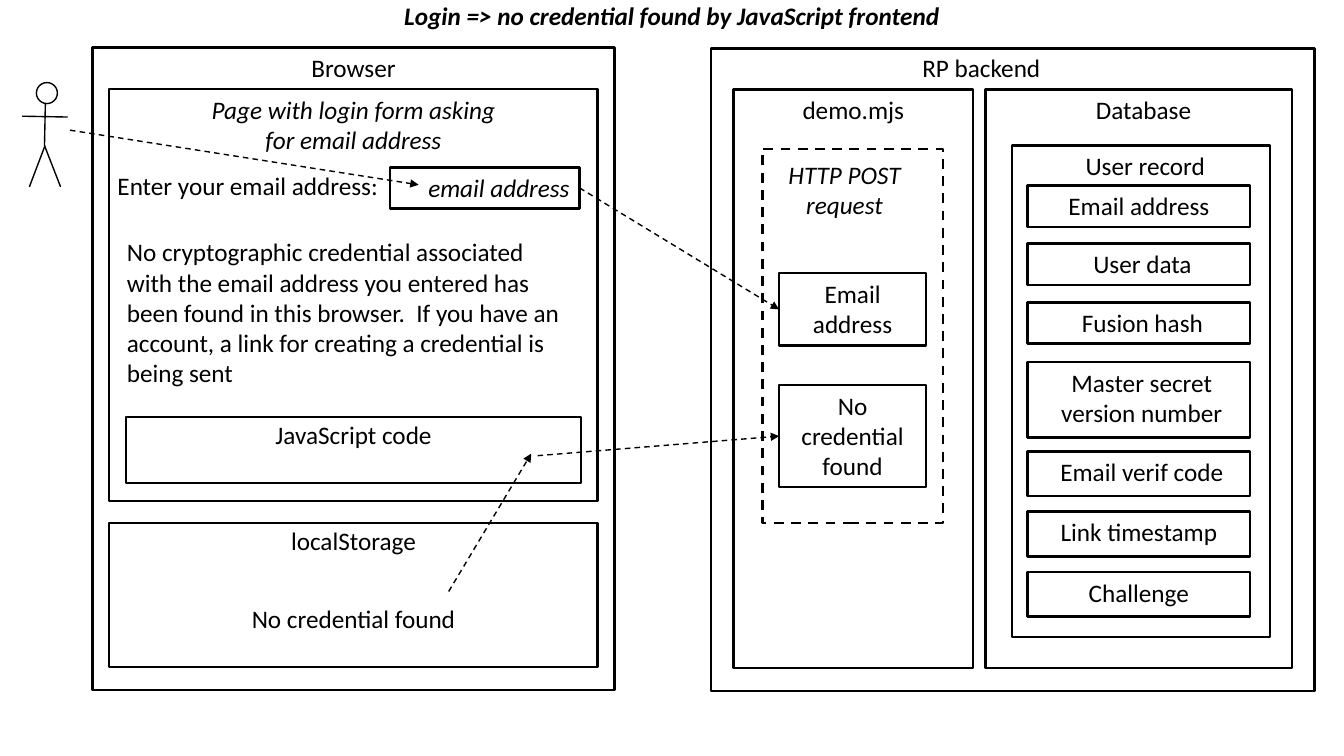
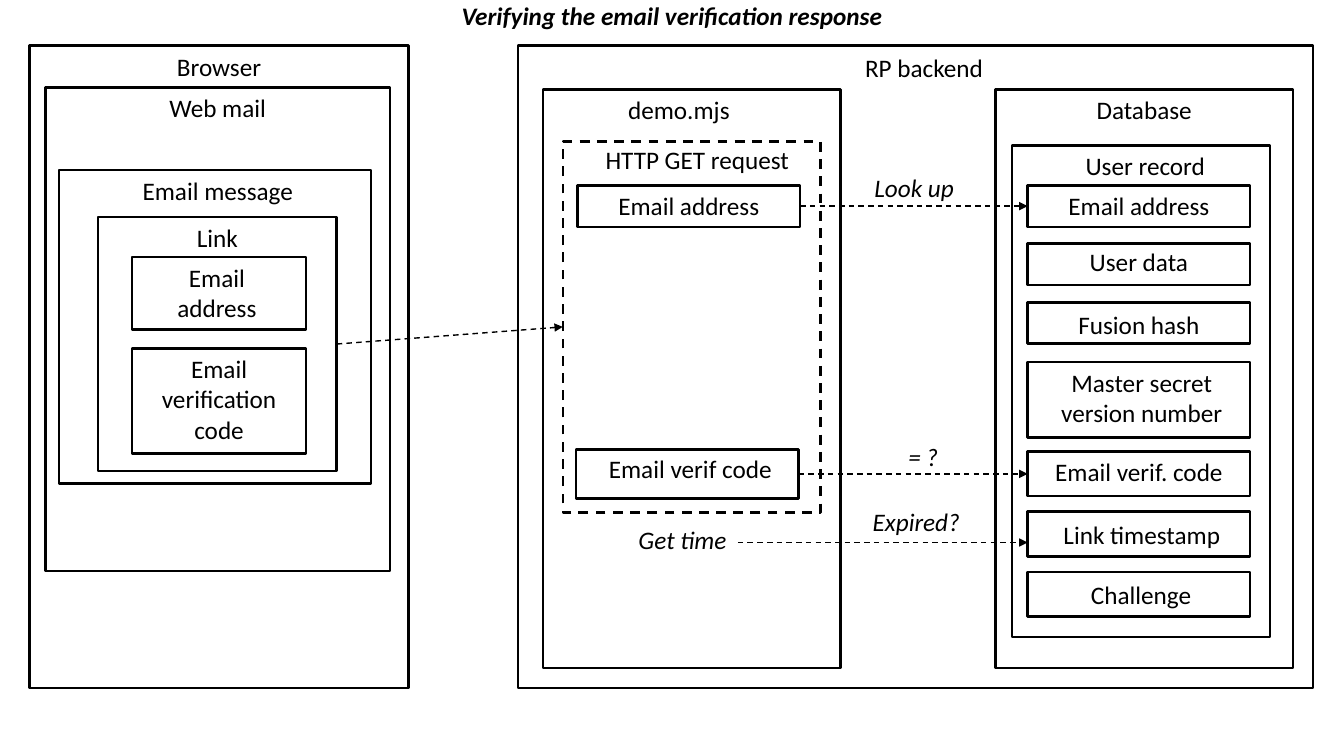
from dataclasses import dataclass

from lxml import etree
from pptx import Presentation
from pptx.dml.color import RGBColor
from pptx.enum.dml import MSO_LINE
from pptx.enum.shapes import MSO_CONNECTOR, MSO_SHAPE
from pptx.enum.text import MSO_ANCHOR, MSO_AUTO_SIZE, PP_ALIGN
from pptx.oxml.ns import qn
from pptx.util import Pt

COLORS = {"ink": "000000", "paper": "FFFFFF"}
FONT, FONT_SIZE = "Calibri", 18
BOX_LINE, THIN_LINE = 1.75, 1
MARGIN_X, MARGIN_Y = 7.2, 3.6
TITLE_FRAME = (66, -6.5, 828, 38)
LEFT_SITE, RIGHT_SITE = 1, 3


@dataclass
class Box:
    """Outlined box; inset adds to the left, top and right text margins."""
    key: str
    text: str
    frame: tuple
    inset: tuple = (0, 0, 0)
    italic: bool = False
    dashed: bool = False
    align: PP_ALIGN = PP_ALIGN.CENTER


@dataclass
class Label:
    """Free text without an outline."""
    text: str
    frame: tuple
    italic: bool = False
    align: PP_ALIGN = PP_ALIGN.CENTER


# Database record, shared by both slides: top and height of each field
RECORD_LEFT, RECORD_WIDTH = 734, 159
RECORD_ROWS = [(132.5, 29.5), (174, 29.5), (216, 29.5), (258.5, 54),
               (322.5, 32), (365.5, 32), (408.5, 32)]
USER_RECORD = Box("user record", "User record", (723, 104, 184, 351), (6, 0, 0))

# Stick figure: head frame, then limbs as start and end points
HEAD = (26, 59, 15, 15)
LIMBS = [((32.4, 74), (31.8, 104)), ((32.2, 104), (21, 133.5)),
         ((31.8, 104), (43.3, 133.5)), ((15.8, 83), (48.4, 83.6))]

# Content: an arrow end is a box key or a point
SLIDES = [
    {
        "title": "Login => no credential found by JavaScript frontend",
        "user": True,
        "boxes": [
            Box("browser", "Browser", (66, 34, 373, 459)),
            Box("page", "Page with login form asking for email address",
                (78, 63.5, 349, 294.5), (58, 0, 58), italic=True),
            Box("field", "email address", (278.5, 119.5, 135.5, 29.5),
                italic=True, align=PP_ALIGN.RIGHT),
            Box("script", "JavaScript code", (90, 298, 325, 47), (0, -2, 0)),
            Box("storage", "localStorage", (78, 373.5, 349, 103), (0, -2, 0)),
            Box("backend", "RP backend", (508, 34.5, 431, 459), (0, -0.5, 45)),
            Box("demo", "demo.mjs", (524, 64, 171, 413)),
            Box("request", "HTTP POST request", (544.5, 106.5, 129, 267),
                (0, 3.6, 11.5), italic=True, dashed=True),
            Box("email", "Email\naddress", (556.5, 195, 105, 52)),
            Box("missing", "No credential found", (556.5, 275, 105, 73)),
            Box("database", "Database", (704, 64, 219, 413), (6.5, 0, 0)),
        ],
        "labels": [
            Label("Enter your email address:", (75.5, 118, 203, 29)),
            Label("No cryptographic credential associated with the email "
                  "address you entered has been found in this browser.  If "
                  "you have an account, a link for creating a credential is "
                  "being sent", (83.5, 165.5, 330.5, 117),
                  align=PP_ALIGN.LEFT),
            Label("No credential found", (78, 427.5, 349, 29)),
        ],
        "records": [("Email address", 0, 0), ("User data", 5, 0),
                    ("Fusion hash", 5, 0),
                    ("Master secret version number", 4, 0),
                    ("Email verif code", 4, 0), ("Link timestamp", 0, 0),
                    ("Challenge", 0, 0)],
        "arrows": [((50, 93), (299, 132)), ("field", "email"),
                   ((384, 325.5), "missing"), ((320.5, 422.5), (379.5, 324))],
    },
    {
        "title": "Verifying the email verification response",
        "user": False,
        "boxes": [
            Box("browser", "Browser", (21, 32.5, 271, 459), (0, 0.5, 0)),
            Box("mail", "Web mail", (32.5, 62.5, 246, 345.5)),
            Box("message", "Email message", (42, 121.5, 223, 224), (4, 0, 0)),
            Box("link", "Link", (70, 155, 170.5, 181.5)),
            Box("link email", "Email\naddress", (94.5, 183.5, 124, 52),
                (0, 0, 3)),
            Box("link code", "Email verification code", (94.5, 249, 124, 75)),
            Box("backend", "RP backend", (370, 32.5, 568, 459), (12, 1.4, 0)),
            Box("demo", "demo.mjs", (388, 64, 212.5, 413), (0, 0, 18.5)),
            Box("request", "HTTP GET request", (402, 101, 184, 265),
                (8, -1.4, 0), dashed=True),
            Box("email", "Email address", (412.5, 132.5, 159, 29.5)),
            Box("code", "Email verif code", (411.5, 321, 159, 35),
                (4, -0.7, 0)),
            Box("database", "Database", (711, 64, 212.5, 413)),
        ],
        "labels": [
            Label("Get time", (425.5, 371, 124, 29), italic=True),
            Label("Expired?", (592.5, 358, 124, 29), italic=True),
            Label("= ?", (597.5, 312, 124, 29), italic=True),
            Label("Look up", (591, 119.5, 124, 29), italic=True),
        ],
        "records": [("Email address", 0, 0), ("User data", 0, -1.5),
                    ("Fusion hash", 0, 1.5),
                    ("Master secret version number", 4, 0),
                    ("Email verif. code", 0, 0), ("Link timestamp", 4, 1.5),
                    ("Challenge", 3, 1.5)],
        "arrows": [("link", "request"), ("email", "record 0"),
                   ("code", "record 4"), ((527, 387.5), (734, 387.5))],
    },
]


def color(name):
    return RGBColor.from_string(COLORS[name])


def points(values):
    return [Pt(value) for value in values]


def format_text(text_frame, text, align, bold=False, italic=False):
    text_frame.text = text
    text_frame.word_wrap = True
    for paragraph in text_frame.paragraphs:
        paragraph.alignment = align
        font = paragraph.font
        font.name, font.size = FONT, Pt(FONT_SIZE)
        font.bold, font.italic = bold, italic
        font.color.rgb = color("ink")


def format_line(line, width, dashed=False):
    line.color.rgb = color("ink")
    line.width = Pt(width)
    if dashed:
        line.dash_style = MSO_LINE.DASH


def add_title(slide, text):
    title = slide.shapes.title
    title.left, title.top, title.width, title.height = points(TITLE_FRAME)
    format_text(title.text_frame, text, PP_ALIGN.CENTER, True, True)
    title.text_frame.auto_size = MSO_AUTO_SIZE.NONE
    title.text_frame.vertical_anchor = MSO_ANCHOR.MIDDLE
    title.text_frame.paragraphs[0].line_spacing = 0.9


def add_box(slide, box):
    shape = slide.shapes.add_shape(MSO_SHAPE.RECTANGLE, *points(box.frame))
    shape.shadow.inherit = False
    shape.fill.background()
    format_line(shape.line, BOX_LINE, box.dashed)
    text_frame = shape.text_frame
    format_text(text_frame, box.text, box.align, italic=box.italic)
    text_frame.vertical_anchor = MSO_ANCHOR.TOP
    left, top, right = box.inset
    text_frame.margin_left = Pt(MARGIN_X + left)
    text_frame.margin_top = Pt(MARGIN_Y + top)
    text_frame.margin_right = Pt(MARGIN_X + right)
    return shape


def add_label(slide, label):
    shape = slide.shapes.add_textbox(*points(label.frame))
    format_text(shape.text_frame, label.text, label.align, italic=label.italic)


def add_line(shapes, start, end, dashed=False):
    connector = shapes.add_connector(MSO_CONNECTOR.STRAIGHT,
                                     *points(start + end))
    format_line(connector.line, THIN_LINE, dashed)
    etree.SubElement(connector._element.spPr, qn("a:effectLst"))
    return connector


def add_arrow(slide, start, end, boxes):
    start_point = (0, 0) if start in boxes else start
    end_point = (0, 0) if end in boxes else end
    connector = add_line(slide.shapes, start_point, end_point, dashed=True)
    if start in boxes:
        connector.begin_connect(boxes[start], RIGHT_SITE)
    if end in boxes:
        connector.end_connect(boxes[end], LEFT_SITE)
    line = connector._element.spPr.find(qn("a:ln"))
    etree.SubElement(line, qn("a:tailEnd"), type="triangle")


def add_user(slide):
    shapes = slide.shapes.add_group_shape().shapes
    for start, end in LIMBS:
        add_line(shapes, start, end)
    head = shapes.add_shape(MSO_SHAPE.OVAL, *points(HEAD))
    head.shadow.inherit = False
    head.fill.solid()
    head.fill.fore_color.rgb = color("paper")
    format_line(head.line, THIN_LINE)


def record_boxes(records):
    fields = [Box(f"record {index}", text,
                  (RECORD_LEFT, top, RECORD_WIDTH, height), (left, down, 0))
              for index, ((text, left, down), (top, height))
              in enumerate(zip(records, RECORD_ROWS))]
    return [USER_RECORD] + fields


presentation = Presentation()
presentation.slide_width, presentation.slide_height = Pt(960), Pt(540)
title_only = presentation.slide_layouts[5]

for content in SLIDES:
    slide = presentation.slides.add_slide(title_only)
    add_title(slide, content["title"])
    # Boxes, outer ones first
    boxes = {box.key: add_box(slide, box)
             for box in content["boxes"] + record_boxes(content["records"])}
    for label in content["labels"]:
        add_label(slide, label)
    # Arrows and user on top
    for start, end in content["arrows"]:
        add_arrow(slide, start, end, boxes)
    if content["user"]:
        add_user(slide)

presentation.save("out.pptx")
